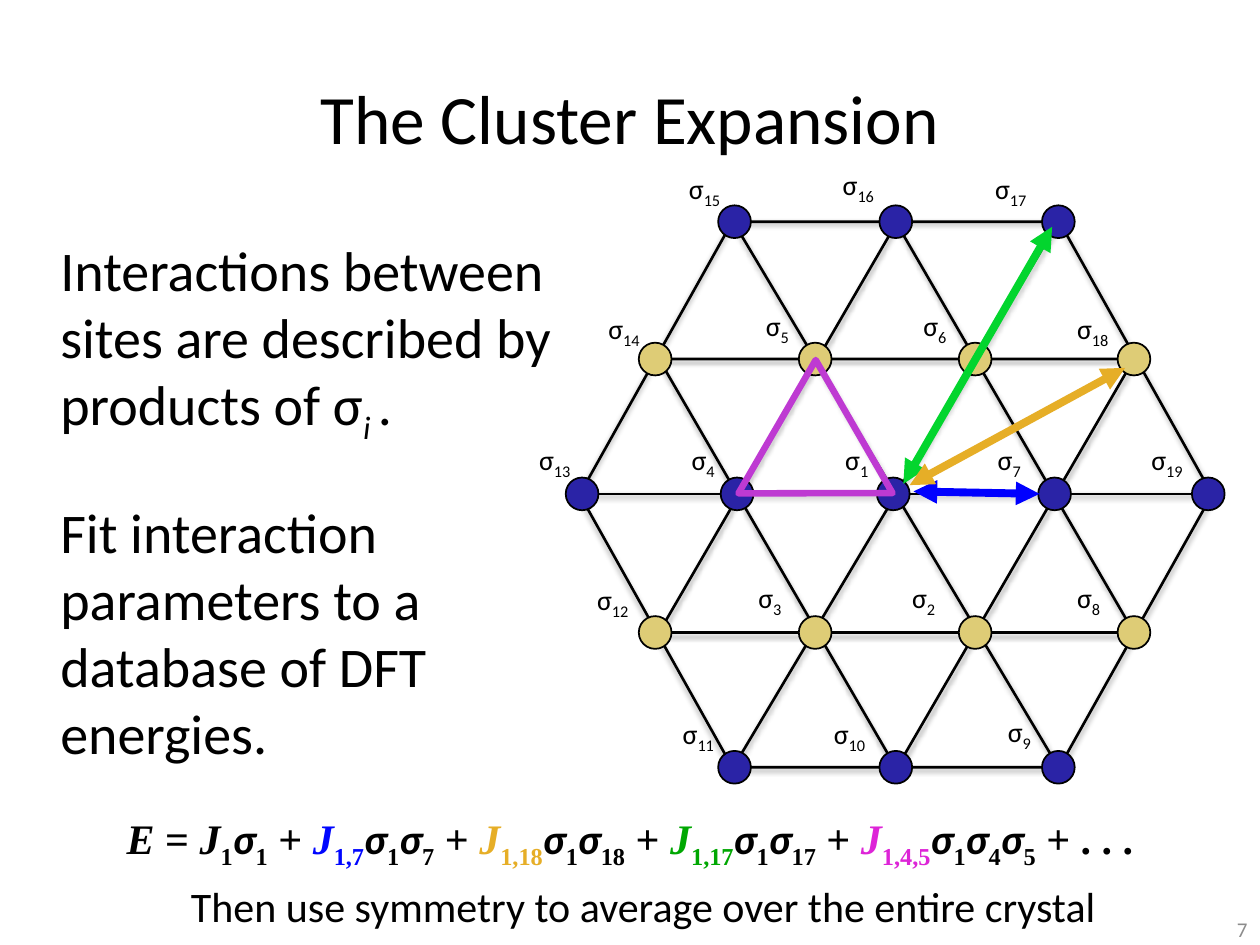
from lxml import etree
from pptx import Presentation
from pptx.dml.color import RGBColor
from pptx.enum.shapes import MSO_CONNECTOR, MSO_SHAPE
from pptx.enum.text import MSO_ANCHOR, MSO_AUTO_SIZE, PP_ALIGN
from pptx.oxml.ns import qn
from pptx.util import Inches, Pt

LEFT, CENTER, RIGHT = PP_ALIGN.LEFT, PP_ALIGN.CENTER, PP_ALIGN.RIGHT
TOP, MIDDLE = MSO_ANCHOR.TOP, MSO_ANCHOR.MIDDLE
NO_AUTOFIT = MSO_AUTO_SIZE.NONE
STRAIGHT = MSO_CONNECTOR.STRAIGHT
HEXAGON, TRIANGLE, OVAL = MSO_SHAPE.HEXAGON, MSO_SHAPE.ISOSCELES_TRIANGLE, MSO_SHAPE.OVAL

BLACK = RGBColor(0x00, 0x00, 0x00)
GRAY = RGBColor(0x8C, 0x8C, 0x8C)
NAVY = RGBColor(0x2A, 0x23, 0xA6)
SAND = RGBColor(0xDE, 0xCC, 0x76)
BLUE = RGBColor(0x00, 0x00, 0xFF)
GREEN = RGBColor(0x03, 0xD5, 0x2E)
GOLD = RGBColor(0xE6, 0xAE, 0x27)
PURPLE = RGBColor(0xBE, 0x3A, 0xD2)
J_BLUE = RGBColor(0x00, 0x06, 0xFF)
J_GREEN = RGBColor(0x00, 0xA7, 0x02)
J_MAGENTA = RGBColor(0xDD, 0x24, 0xD7)

SANS, SERIF = "Calibri", "Times New Roman"
SUB = {"base": -25}
SITE_SIZE = 0.26

TITLE = "The Cluster Expansion"
EXPLANATION = [
    [("Interactions between sites are described by products of σ", {}),
     ("i ", {"italic": True, **SUB}), (".", {})],
    [("Fit interaction parameters to a database of DFT energies.", {})],
]
SYMMETRY_NOTE = "Then use symmetry to average over the entire crystal"
PAGE_NUMBER = "7"

ENERGY_TERMS = [
    (BLACK, [1]),
    (J_BLUE, [1, 7]),
    (GOLD, [1, 18]),
    (J_GREEN, [1, 17]),
    (J_MAGENTA, [1, 4, 5]),
]

OUTER_X = [5.83, 7.11, 8.4]
INNER_X = [5.2, 6.47, 7.74, 9.0]
MIDDLE_X = [4.62, 5.85, 7.09, 8.37, 9.59]
SITE_ROWS = [
    (1.76, NAVY, OUTER_X, [(15, 5.37, 1.31), (16, 6.59, 1.28), (17, 7.8, 1.31)]),
    (2.85, SAND, INNER_X, [(14, 4.73, 2.42), (5, 5.98, 2.4), (6, 7.23, 2.4), (18, 8.45, 2.42)]),
    (3.92, NAVY, MIDDLE_X, [(13, 4.18, 3.46), (4, 5.39, 3.46), (1, 6.61, 3.46),
                            (7, 7.82, 3.46), (19, 9.04, 3.46)]),
    (5.02, SAND, INNER_X, [(12, 4.64, 4.57), (3, 5.92, 4.56), (2, 7.14, 4.56), (8, 8.45, 4.56)]),
    (6.09, NAVY, OUTER_X, [(11, 5.32, 5.64), (10, 6.52, 5.64), (9, 7.9, 5.62)]),
]
LATTICE_LINES = [
    ((5.82, 1.76), (8.4, 6.09)),
    ((8.4, 1.76), (5.82, 6.09)),
    ((4.6, 3.92), (9.62, 3.92)),
]
INTERACTIONS = [
    (BLUE, (8.25, 3.92), (7.25, 3.9)),
    (GREEN, (7.17, 3.84), (8.35, 1.8)),
    (GOLD, (7.22, 3.85), (8.93, 2.92)),
]

prs = Presentation()
prs.slide_width, prs.slide_height = Inches(10), Inches(7.5)
slide = prs.slides.add_slide(prs.slide_layouts[5])


def write_text(holder, paragraphs, size=24, color=BLACK, bold=False, align=LEFT,
               anchor=TOP, indent=0, gap=0):
    frame = holder.text_frame
    frame.word_wrap = True
    frame.auto_size = NO_AUTOFIT
    frame.vertical_anchor = anchor
    for index, runs in enumerate(paragraphs):
        para = frame.paragraphs[0] if index == 0 else frame.add_paragraph()
        para.alignment = align
        para.space_before = Pt(gap if index else 0)
        if indent:
            para._p.get_or_add_pPr().set("marL", str(Inches(indent)))
        for text, style in runs:
            run = para.add_run()
            run.text = text
            run.font.size = Pt(size)
            run.font.name = style.get("font", SANS)
            run.font.bold = bold
            run.font.italic = style.get("italic", False)
            run.font.color.rgb = style.get("color", color)
            if "base" in style:
                run._r.get_or_add_rPr().set("baseline", str(style["base"] * 1000))


def add_text(box, paragraphs, **style):
    write_text(slide.shapes.add_textbox(*map(Inches, box)), paragraphs, **style)


def add_shadow(effects):
    shadow = etree.SubElement(effects, qn("a:outerShdw"), blurRad="39370", dist="20320",
                              dir="5400000", rotWithShape="0")
    tint = etree.SubElement(shadow, qn("a:srgbClr"), val="000000")
    etree.SubElement(tint, qn("a:alpha"), val="38000")


def add_line(start, end, color, width, arrows=False, shadow=False):
    line = slide.shapes.add_connector(STRAIGHT, *map(Inches, start + end))
    line.line.color.rgb = color
    line.line.width = Pt(width)
    if arrows:
        outline = line.line._get_or_add_ln()
        for tip in ("a:headEnd", "a:tailEnd"):
            etree.SubElement(outline, qn(tip), type="triangle")
    effects = etree.SubElement(line._element.spPr, qn("a:effectLst"))
    if shadow:
        add_shadow(effects)


def add_shape(kind, box, width, color=BLACK, fill=None, shadow=False):
    shape = slide.shapes.add_shape(kind, *map(Inches, box))
    shape.shadow.inherit = False
    if shadow:
        add_shadow(shape._element.spPr.find(qn("a:effectLst")))
    if fill is None:
        shape.fill.background()
    else:
        shape.fill.solid()
        shape.fill.fore_color.rgb = fill
    shape.line.color.rgb = color
    shape.line.width = Pt(width)
    return shape


def energy_runs():
    serif = {"font": SERIF}
    runs = [("E", {"italic": True, **serif}), (" = ", serif)]
    for color, sites in ENERGY_TERMS:
        runs.append(("J", {"italic": True, "color": color, **serif}))
        runs.append((",".join(map(str, sites)), {"color": color, **serif, **SUB}))
        for site in sites:
            runs += [("σ", {"italic": True}), (str(site), {**serif, **SUB})]
        runs.append((" + ", serif))
    return runs + [(". . .", serif)]


for start, end in LATTICE_LINES:
    add_line(start, end, BLACK, 1.5, shadow=True)
hexagon = add_shape(HEXAGON, (4.6, 1.76, 5.02, 4.33), 1.5, shadow=True)
hexagon.adjustments[0] = 0.28
add_shape(TRIANGLE, (5.23, 1.77, 3.77, 3.25), 1.5, shadow=True)
inverted = add_shape(TRIANGLE, (5.23, 2.85, 3.77, 3.25), 1.5, shadow=True)
inverted._element.spPr.find(qn("a:xfrm")).set("flipV", "1")

for y, color, centers, _ in SITE_ROWS:
    for x in centers:
        add_shape(OVAL, (x - SITE_SIZE / 2, y - SITE_SIZE / 2, SITE_SIZE, SITE_SIZE), 1, fill=color)

add_text((7.92, 7.25, 2.08, 0.25), [[(PAGE_NUMBER, {})]], size=12, color=GRAY,
         align=RIGHT, anchor=MIDDLE)
title = slide.shapes.title
title.left, title.top, title.width, title.height = map(Inches, (0.5, 0.3, 9, 1.25))
write_text(title, [[(TITLE, {})]], size=39.6, align=CENTER, anchor=MIDDLE)
add_text((0, 1.82, 4.58, 3.97), EXPLANATION, size=32, indent=0.38, gap=29)
add_text((1.16, 6.94, 7.89, 0.5), [[(SYMMETRY_NOTE, {})]], align=CENTER)
add_text((0, 6.4, 10, 0.5), [energy_runs()], bold=True, align=CENTER)

for *_, labels in SITE_ROWS:
    for site, left, top in labels:
        add_text((left, top, 0.54, 0.35), [[("σ", {}), (str(site), SUB)]], size=16)

for color, start, end in INTERACTIONS:
    add_line(start, end, color, 4.5, arrows=True)
triplet = add_shape(TRIANGLE, (5.71, 3.12, 1.22, 1.06), 3.75, color=PURPLE)
triplet.rotation = 240

prs.save("out.pptx")
